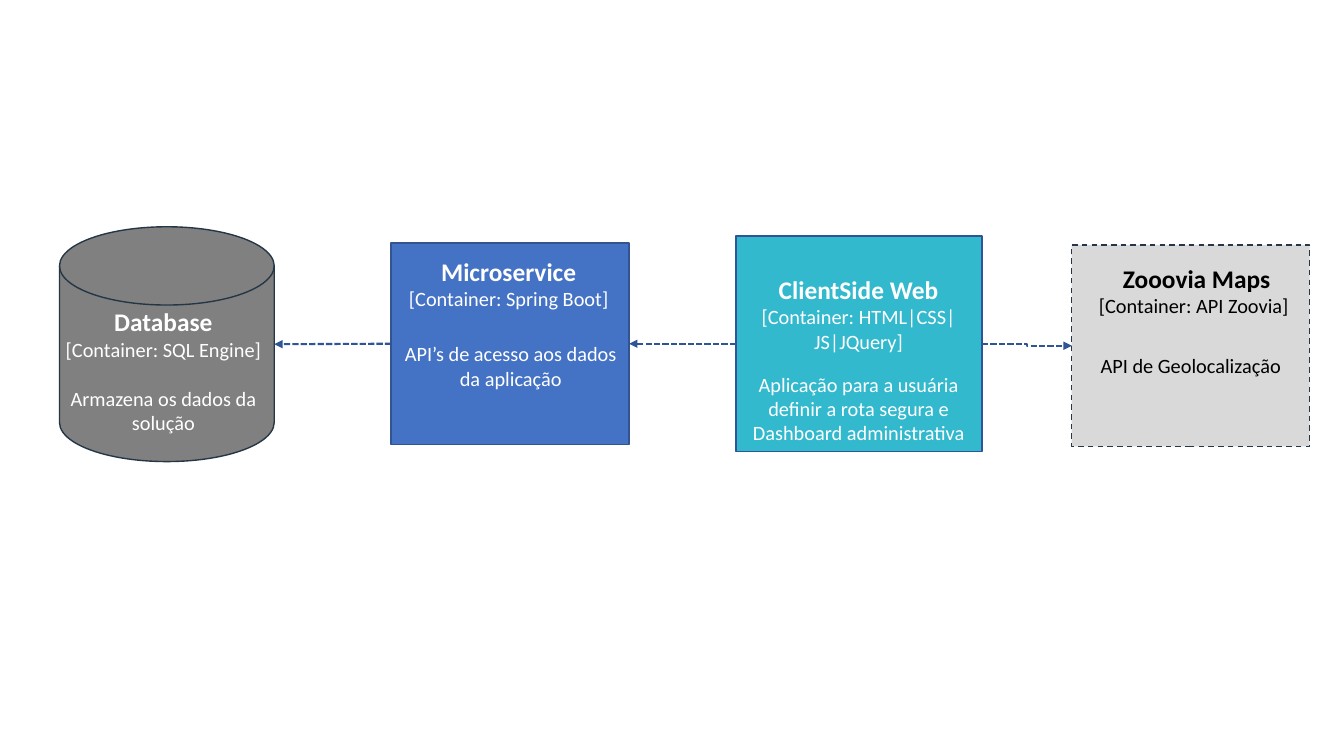
from dataclasses import dataclass

from lxml.etree import SubElement
from pptx import Presentation
from pptx.dml.color import RGBColor
from pptx.enum.dml import MSO_LINE
from pptx.enum.shapes import MSO_CONNECTOR, MSO_SHAPE
from pptx.enum.text import PP_ALIGN
from pptx.oxml.ns import qn
from pptx.shapes.autoshape import Shape
from pptx.shapes.connector import Connector
from pptx.shapes.shapetree import GroupShapes, SlideShapes
from pptx.util import Inches, Pt

FONT = "Calibri"
NAME_SIZE = 18.1
DETAIL_SIZE = 14.5
ARROW_COLOR = "2F5597"
LEFT_SIDE, RIGHT_SIDE = 1, 3


@dataclass(frozen=True)
class Line:
    text: str
    size: float = DETAIL_SIZE
    bold: bool = False
    space_before: float = 0


@dataclass(frozen=True)
class Caption:
    box: tuple[float, float, float, float]
    lines: tuple[Line, ...]


@dataclass(frozen=True)
class Container:
    box: tuple[float, float, float, float]
    fill: str
    outline: str
    captions: tuple[Caption, ...]
    text_color: str = "FFFFFF"
    preset: MSO_SHAPE = MSO_SHAPE.RECTANGLE
    dash: MSO_LINE | None = None


def heading(name: str, technology: str) -> tuple[Line, Line]:
    return Line(name, NAME_SIZE, True), Line(f"[Container: {technology}]")


DATABASE = Container(
    (0.59, 2.25, 2.13, 2.33), "808080", "253746",
    (Caption((0.51, 2.99, 2.22, 1.38),
             (*heading("Database", "SQL Engine"),
              Line("Armazena os dados da solução", space_before=17.7))),),
    preset=MSO_SHAPE.FLOWCHART_MAGNETIC_DISK,
)
MICROSERVICE = Container(
    (3.88, 2.41, 2.36, 2), "4472C4", "325491",
    (Caption((3.77, 2.49, 2.55, 0.65), heading("Microservice", "Spring Boot")),
     Caption((3.89, 3.34, 2.35, 0.59),
             (Line("API’s de acesso aos dados da aplicação"),))),
)
MAPS = Container(
    (10.63, 2.43, 2.36, 2), "D9D9D9", "253746",
    (Caption((10.66, 2.56, 2.36, 0.65), heading(" Zooovia Maps", "API Zoovia")),
     Caption((10.63, 3.45, 2.36, 0.35), (Line("API de Geolocalização"),))),
    text_color="000000", dash=MSO_LINE.DASH,
)
CLIENT = Container(
    (7.3, 2.34, 2.44, 2.14), "32B9CD", "2F5597",
    (Caption((7.39, 2.67, 2.25, 0.89),
             heading("ClientSide Web", "HTML|CSS|JS|JQuery")),
     Caption((7.29, 3.64, 2.45, 0.83),
             (Line("Aplicação para a usuária definir a rota segura e "
                   "Dashboard administrativa"),))),
)


def color(value: str) -> RGBColor:
    return RGBColor.from_string(value)


def add_caption(shapes: GroupShapes, caption: Caption, text_color: str) -> None:
    frame = shapes.add_textbox(*map(Inches, caption.box)).text_frame
    frame.word_wrap = True
    for index, line in enumerate(caption.lines):
        paragraph = frame.add_paragraph() if index else frame.paragraphs[0]
        paragraph.text = line.text
        paragraph.alignment = PP_ALIGN.CENTER
        paragraph.space_before = Pt(line.space_before)
        paragraph.font.name = FONT
        paragraph.font.size = Pt(line.size)
        paragraph.font.bold = line.bold
        paragraph.font.color.rgb = color(text_color)


def add_container(shapes: SlideShapes, container: Container) -> Shape:
    group = shapes.add_group_shape().shapes
    body = group.add_shape(container.preset, *map(Inches, container.box))
    body.shadow.inherit = False
    body.fill.solid()
    body.fill.fore_color.rgb = color(container.fill)
    body.line.color.rgb = color(container.outline)
    body.line.width = Pt(1)
    if container.dash is not None:
        body.line.dash_style = container.dash
    for caption in container.captions:
        add_caption(group, caption, container.text_color)
    return body


def add_arrow(shapes: SlideShapes, kind: MSO_CONNECTOR, source: Shape,
              source_side: int, target: Shape) -> Connector:
    leftward = source_side == LEFT_SIDE
    arrow = shapes.add_connector(
        kind,
        source.left if leftward else source.left + source.width,
        source.top + source.height // 2,
        target.left + target.width if leftward else target.left,
        target.top + target.height // 2,
    )
    arrow.begin_connect(source, source_side)
    if target.auto_shape_type == MSO_SHAPE.RECTANGLE:
        arrow.end_connect(target, RIGHT_SIDE if leftward else LEFT_SIDE)
    arrow.line.color.rgb = color(ARROW_COLOR)
    arrow.line.width = Pt(1.5)
    arrow.line.dash_style = MSO_LINE.SQUARE_DOT
    SubElement(arrow.line._get_or_add_ln(), qn("a:tailEnd"), type="triangle")
    SubElement(arrow._element.spPr, qn("a:effectLst"))
    return arrow


def main() -> None:
    presentation = Presentation()
    presentation.slide_width = Inches(13.33)
    presentation.slide_height = Inches(7.5)
    shapes = presentation.slides.add_slide(presentation.slide_layouts[6]).shapes

    database, microservice, maps, client = (
        add_container(shapes, container)
        for container in (DATABASE, MICROSERVICE, MAPS, CLIENT)
    )
    add_arrow(shapes, MSO_CONNECTOR.STRAIGHT, microservice, LEFT_SIDE, database)
    add_arrow(shapes, MSO_CONNECTOR.STRAIGHT, client, LEFT_SIDE, microservice)
    maps_arrow = add_arrow(shapes, MSO_CONNECTOR.ELBOW, client, RIGHT_SIDE, maps)
    maps_arrow._element.spPr.prstGeom.get_or_add_avLst()

    presentation.save("out.pptx")


if __name__ == "__main__":
    main()
